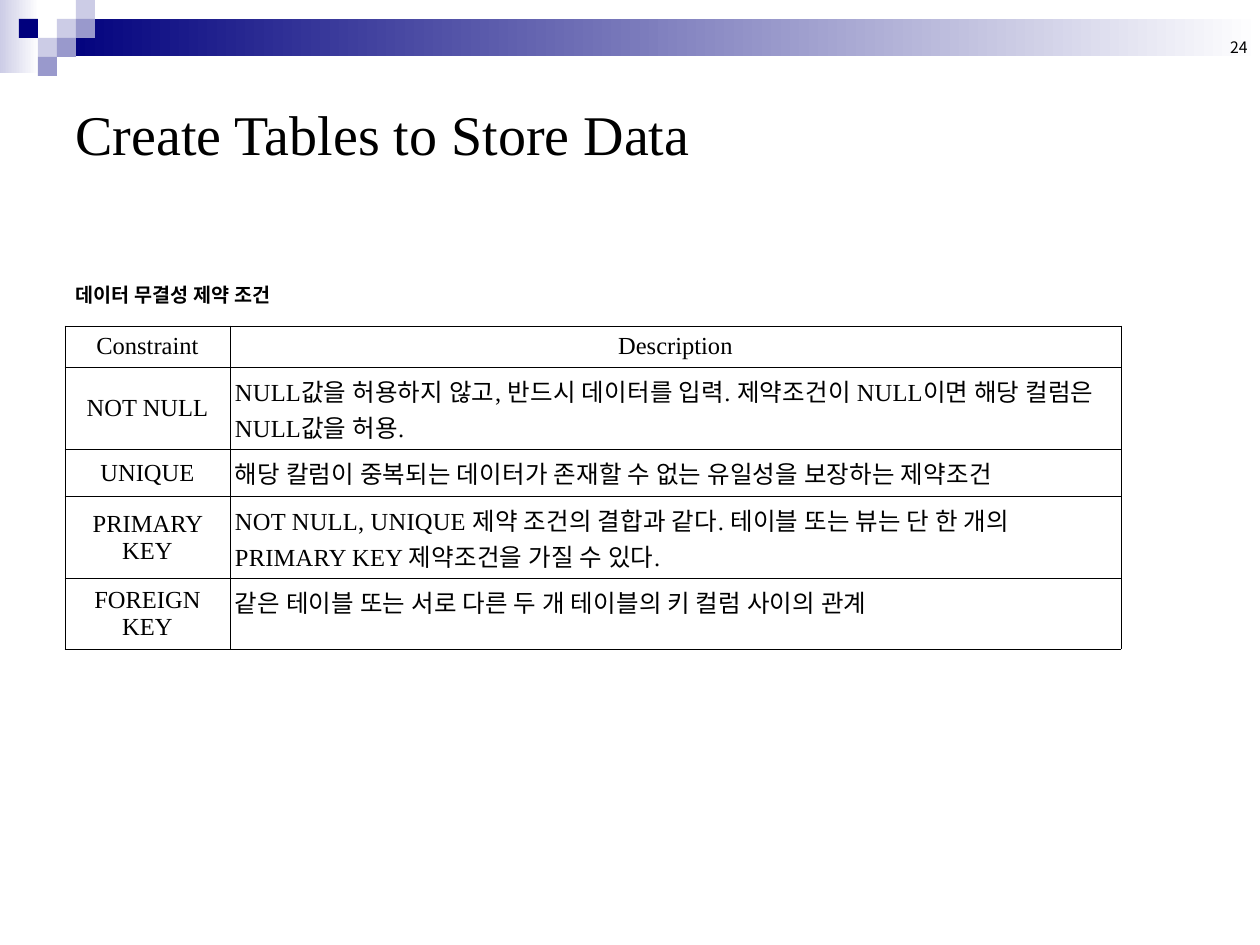
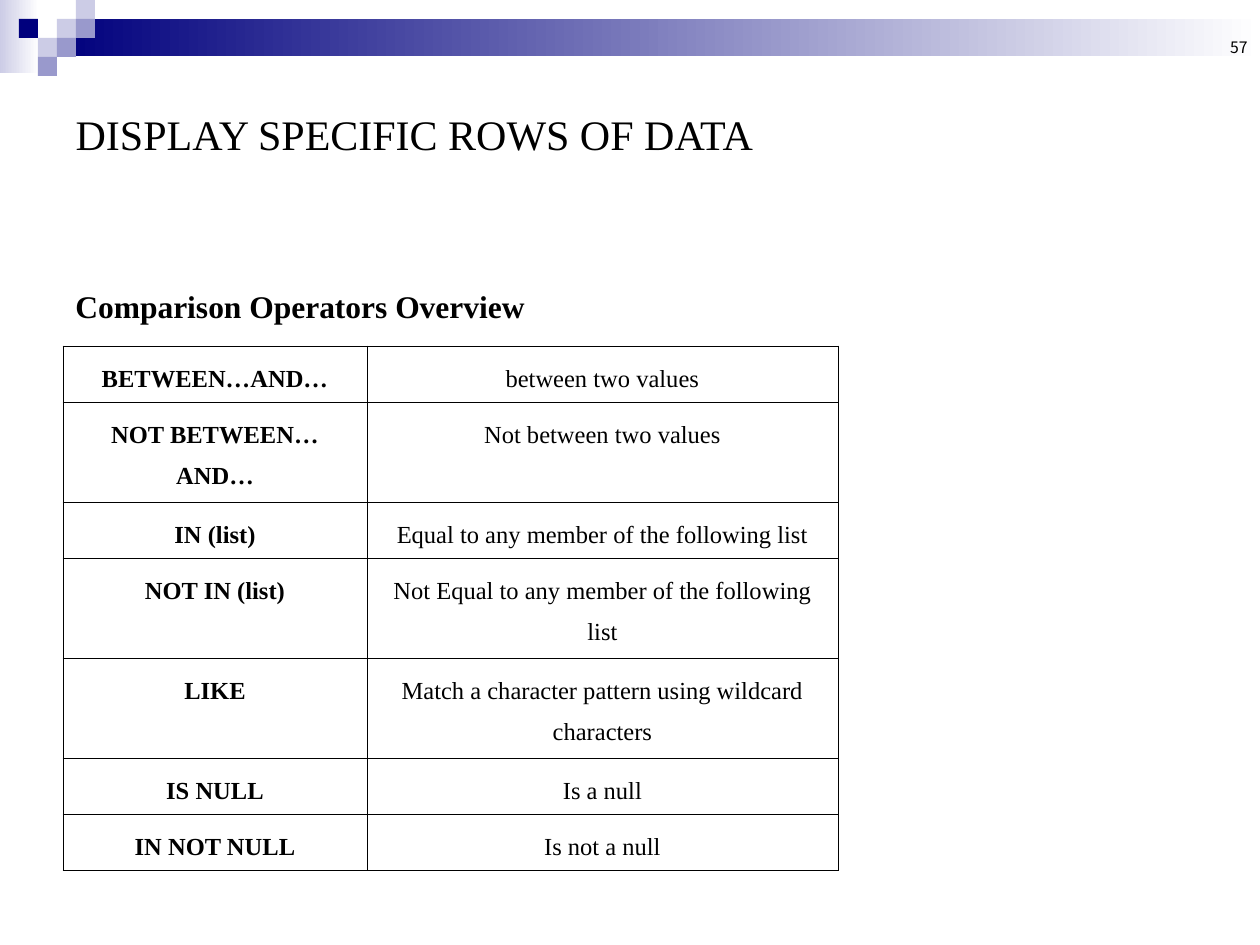
from lxml import etree
from pptx import Presentation
from pptx.dml.color import RGBColor
from pptx.enum.shapes import MSO_SHAPE
from pptx.enum.text import MSO_ANCHOR, MSO_AUTO_SIZE, PP_ALIGN
from pptx.oxml.ns import qn
from pptx.util import Pt

RECTANGLE = MSO_SHAPE.RECTANGLE
TOP, MIDDLE, BOTTOM = MSO_ANCHOR.TOP, MSO_ANCHOR.MIDDLE, MSO_ANCHOR.BOTTOM
LEFT, CENTER, RIGHT = PP_ALIGN.LEFT, PP_ALIGN.CENTER, PP_ALIGN.RIGHT

PX_PER_INCH = 126
SLIDE_SIZE = (1260, 945)
TITLE_ONLY_LAYOUT = 5
COLORS = {"text": "000000", "navy": "00007D", "lavender": "CCCCE6",
          "violet": "9999CC", "white": "FFFFFF"}
SERIF, KOREAN = "Times New Roman", "Noto Sans CJK KR"
KOREAN_TRACKING = 12  # hundredths of a point
BORDER_WIDTH = Pt(0.45)

# Shared regions: left, top, width, height
BAND_BOX = (0, 0, 1260, 76)
NUMBER_BOX = (966, 0, 294, 63)
TITLE_BOX = (63, 63, 1134, 141)

# Band squares: column, row, colour
SQUARE = 19
BAND_SQUARES = [
    (3, 1, "lavender"), (4, 0, "lavender"), (4, 1, "violet"),
    (2, 2, "lavender"), (1, 1, "navy"), (3, 2, "violet"), (2, 3, "violet"),
]

CONSTRAINTS = [
    ("Constraint", "Description"),
    ("NOT NULL", "NULL값을 허용하지 않고, 반드시 데이터를 입력. 제약조건이 NULL이면 "
                 "해당 컬럼은 NULL값을 허용."),
    ("UNIQUE", "해당 칼럼이 중복되는 데이터가 존재할 수 없는 유일성을 보장하는 제약조건"),
    ("PRIMARY KEY", "NOT NULL, UNIQUE 제약 조건의 결합과 같다. 테이블 또는 뷰는 단 한 개의 "
                    "PRIMARY KEY 제약조건을 가질 수 있다."),
    ("FOREIGN KEY", "같은 테이블 또는 서로 다른 두 개 테이블의 키 컬럼 사이의 관계"),
]
OPERATORS = [
    ("BETWEEN…AND…", "between two values"),
    ("NOT BETWEEN… AND…", "Not between two values"),
    ("IN (list)", "Equal to any member of the following list"),
    ("NOT IN (list)", "Not Equal to any member of the following list"),
    ("LIKE", "Match a character pattern using wildcard characters"),
    ("IS NULL", "Is a null"),
    ("IN NOT NULL", "Is not a null"),
]


def px(length):
    return round(length * 914400 / PX_PER_INCH)


def emu_box(box):
    return [px(length) for length in box]


def rgb(name):
    return RGBColor.from_string(COLORS[name])


def write_text(frame, text, size, font=SERIF, bold=False, align=LEFT, spacing=None,
               tracking=0):
    paragraph = frame.paragraphs[0]
    paragraph.text = text
    paragraph.alignment = align
    if spacing:
        paragraph.line_spacing = spacing
    paragraph.font.size = Pt(size)
    paragraph.font.bold = bold
    paragraph.font.name = font
    paragraph.font.color.rgb = rgb("text")
    # East Asian letters take the Korean font
    properties = paragraph._p.pPr.find(qn("a:defRPr"))
    etree.SubElement(properties, qn("a:ea"), typeface=KOREAN)
    if tracking:
        properties.set("spc", str(tracking))


def add_text(slide, box, text, size, anchor=TOP, **style):
    frame = slide.shapes.add_textbox(*emu_box(box)).text_frame
    frame.word_wrap = True
    frame.vertical_anchor = anchor
    write_text(frame, text, size, **style)


def add_block(slide, box, color, fades=False):
    shape = slide.shapes.add_shape(RECTANGLE, *emu_box(box))
    shape.shadow.inherit = False
    shape.line.fill.background()
    if fades:
        shape.fill.gradient()
        shape.fill.gradient_angle = 0
        for stop, name in zip(shape.fill.gradient_stops, (color, "white")):
            stop.color.rgb = rgb(name)
    else:
        shape.fill.solid()
        shape.fill.fore_color.rgb = rgb(color)


def add_band(slide, box):
    left, top, width, height = box
    add_block(slide, (left, top, 39, height - 3), "lavender", fades=True)
    bar_left = 3 * SQUARE
    add_block(slide, (left + bar_left, top + SQUARE, width - bar_left, 2 * SQUARE - 1),
              "navy", fades=True)
    for column, row, color in BAND_SQUARES:
        add_block(slide, (left + column * SQUARE, top + row * SQUARE, SQUARE, SQUARE),
                  color)


def place_title(slide, box, text, size):
    title = slide.shapes.title
    title.left, title.top, title.width, title.height = emu_box(box)
    title.text_frame.auto_size = MSO_AUTO_SIZE.NONE
    title.text_frame.vertical_anchor = MIDDLE
    write_text(title.text_frame, text, size)


def add_page(presentation, title, title_size, number):
    slide = presentation.slides.add_slide(presentation.slide_layouts[TITLE_ONLY_LAYOUT])
    add_band(slide, BAND_BOX)
    add_text(slide, NUMBER_BOX, number, 9, anchor=BOTTOM, font=KOREAN, align=RIGHT)
    place_title(slide, TITLE_BOX, title, title_size)
    return slide


def outline_cell(cell):
    cell.fill.background()
    properties = cell._tc.get_or_add_tcPr()
    for position, side in enumerate(("lnL", "lnR", "lnT", "lnB")):
        line = etree.Element(qn(f"a:{side}"), w=str(int(BORDER_WIDTH)))
        fill = etree.SubElement(line, qn("a:solidFill"))
        etree.SubElement(fill, qn("a:srgbClr"), val=COLORS["text"])
        properties.insert(position, line)


def add_grid(slide, corner, widths, heights, rows, cell_style):
    """Draw a ruled table; cell_style(row, column) gives anchor, margin, text style."""
    box = (*corner, sum(widths), sum(heights))
    table = slide.shapes.add_table(len(rows), len(widths), *emu_box(box)).table
    table.first_row = table.horz_banding = False
    for column, width in zip(table.columns, widths):
        column.width = px(width)
    for row, height in zip(table.rows, heights):
        row.height = px(height)
    for i, texts in enumerate(rows):
        for j, text in enumerate(texts):
            cell = table.cell(i, j)
            anchor, margin, style = cell_style(i, j)
            cell.vertical_anchor = anchor
            cell.margin_left = cell.margin_right = px(margin)
            cell.margin_top = cell.margin_bottom = px(6)
            write_text(cell.text_frame, text, 14, **style)
            outline_cell(cell)


def constraint_style(row, column):
    if row == 0 or column == 0:
        return MIDDLE, 9, {"align": CENTER}
    return TOP, 5, {"tracking": KOREAN_TRACKING}


def operator_style(row, column):
    return TOP, 10, {"align": CENTER, "bold": column == 0, "spacing": 1.5}


def build_constraints(presentation):
    slide = add_page(presentation, "Create Tables to Store Data", 32, "24")
    add_text(slide, (63, 281, 969, 38), "데이터 무결성 제약 조건", 11.2,
             bold=True, spacing=0.8, tracking=KOREAN_TRACKING)
    add_grid(slide, (65, 326), (165, 891), (38, 82, 47, 82, 66),
             CONSTRAINTS, constraint_style)


def build_operators(presentation):
    slide = add_page(presentation, "DISPLAY SPECIFIC ROWS OF DATA", 24, "57")
    add_text(slide, (63, 281, 843, 52), "Comparison Operators Overview", 18, bold=True)
    one_line, two_lines = 52, 95
    heights = (one_line, two_lines, one_line, two_lines, two_lines, one_line, one_line)
    add_grid(slide, (63, 346), (304, 471), heights, OPERATORS, operator_style)


def main():
    presentation = Presentation()
    presentation.slide_width, presentation.slide_height = emu_box(SLIDE_SIZE)
    build_constraints(presentation)
    build_operators(presentation)
    presentation.save("out.pptx")


if __name__ == "__main__":
    main()
